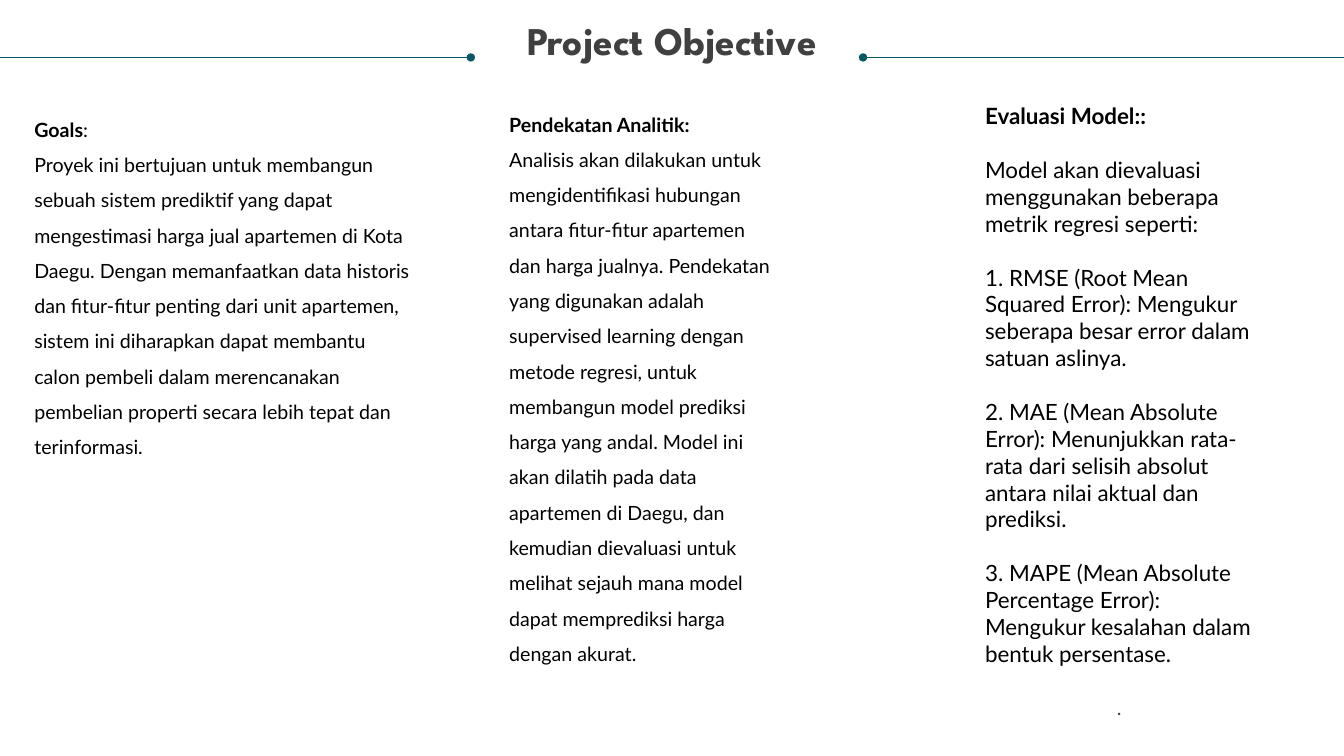
"""Build the Project Objective slide with three columns of text."""
from dataclasses import dataclass
from typing import Any

from lxml.etree import SubElement
from pptx import Presentation
from pptx.dml.color import RGBColor
from pptx.enum.shapes import MSO_CONNECTOR
from pptx.enum.text import MSO_ANCHOR, MSO_AUTO_SIZE, PP_ALIGN
from pptx.oxml.ns import qn
from pptx.util import Inches, Pt

COLORS = {"teal": "085764", "title": "404040", "text": "000000"}
FRAME_FORMAT = {
    "margin_left": 0, "margin_top": 0, "margin_right": 0, "margin_bottom": 0,
    "word_wrap": True, "auto_size": MSO_AUTO_SIZE.NONE,
    "vertical_anchor": MSO_ANCHOR.TOP,
}


@dataclass
class TextRun:
    """A piece of text with one weight."""
    text: str
    bold: bool = False


@dataclass
class TextBlock:
    """A paragraph and its format."""
    runs: list[TextRun]
    size: float = 14
    line_spacing: Any = 1.5
    space_before: float = 0
    alignment: PP_ALIGN = PP_ALIGN.LEFT
    color: str = "text"
    font: str = "Lato"


@dataclass
class TextArea:
    """A placeholder with its place in inches and its paragraphs."""
    placeholder: int
    left: float
    top: float
    width: float
    height: float
    blocks: list[TextBlock]


@dataclass
class Rule:
    """A horizontal line with a dot at one end."""
    start: float
    end: float
    dot_tag: str


METRICS = [
    "Model akan dievaluasi menggunakan beberapa metrik regresi seperti:",
    "1. RMSE (Root Mean Squared Error): Mengukur seberapa besar error dalam satuan aslinya.",
    "2. MAE (Mean Absolute Error): Menunjukkan rata-rata dari selisih absolut antara nilai "
    "aktual dan prediksi.",
    "3. MAPE (Mean Absolute Percentage Error): Mengukur kesalahan dalam bentuk persentase.",
]
GOALS = (
    "Proyek ini bertujuan untuk membangun sebuah sistem prediktif yang dapat mengestimasi "
    "harga jual apartemen di Kota Daegu. Dengan memanfaatkan data historis dan fitur-fitur "
    "penting dari unit apartemen, sistem ini diharapkan dapat membantu calon pembeli dalam "
    "merencanakan pembelian properti secara lebih tepat dan terinformasi."
)
APPROACH = (
    "Analisis akan dilakukan untuk mengidentifikasi hubungan antara fitur-fitur apartemen dan "
    "harga jualnya. Pendekatan yang digunakan adalah supervised learning dengan metode regresi, "
    "untuk membangun model prediksi harga yang andal. Model ini akan dilatih pada data apartemen "
    "di Daegu, dan kemudian dievaluasi untuk melihat sejauh mana model dapat memprediksi harga "
    "dengan akurat."
)
AREAS = [
    TextArea(0, 0.25, 0.21, 12.83, 0.85, [
        TextBlock([TextRun("Project Objective", True)], 28, 0.9, 0, PP_ALIGN.CENTER,
                  "title", "League Spartan"),
    ]),
    TextArea(1, 0.34, 1.05, 3.79, 3.14, [
        TextBlock([TextRun("Goals", True), TextRun(":")]),
        TextBlock([TextRun(GOALS)]),
    ]),
    TextArea(2, 5.05, 1, 2.66, 5.26, [
        TextBlock([TextRun("Pendekatan Analitik:", True)]),
        TextBlock([TextRun(APPROACH)]),
    ]),
    TextArea(3, 9.77, 1.02, 2.66, 6.16, [
        TextBlock([TextRun("Evaluasi Model::", True)], 16, Pt(19)),
        *[TextBlock([TextRun(metric)], 16, 1.0, 19.2) for metric in METRICS],
        TextBlock([TextRun(".")], 14, Pt(19), 19, PP_ALIGN.CENTER, "title"),
    ]),
]
RULES = [Rule(0, 4.67, "a:tailEnd"), Rule(8.56, 13.33, "a:headEnd")]


def set_attributes(target: Any, values: dict[str, Any]) -> None:
    """Set each named value on the target."""
    for name, value in values.items():
        setattr(target, name, value)


def fill_paragraph(paragraph: Any, block: TextBlock) -> None:
    """Write and format one paragraph without a bullet."""
    set_attributes(paragraph, {
        "alignment": block.alignment, "line_spacing": block.line_spacing,
        "space_before": Pt(block.space_before), "space_after": Pt(0),
    })
    properties = paragraph._p.get_or_add_pPr()
    properties.set("marL", "0")
    properties.set("indent", "0")
    SubElement(properties, qn("a:buNone"))
    for text_run in block.runs:
        run = paragraph.add_run()
        run.text = text_run.text
        set_attributes(run.font, {
            "name": block.font, "size": Pt(block.size), "bold": text_run.bold,
        })
        run.font.color.rgb = RGBColor.from_string(COLORS[block.color])


def fill_area(slide: Any, area: TextArea) -> None:
    """Place a placeholder and fill it with its paragraphs."""
    shape = slide.placeholders[area.placeholder]
    set_attributes(shape, {
        name: Inches(getattr(area, name)) for name in ("left", "top", "width", "height")
    })
    frame = shape.text_frame
    set_attributes(frame, FRAME_FORMAT)
    for index, block in enumerate(area.blocks):
        paragraph = frame.add_paragraph() if index else frame.paragraphs[0]
        fill_paragraph(paragraph, block)


def draw_rule(slide: Any, rule: Rule) -> None:
    """Draw a thin line with a round dot beside the title."""
    connector = slide.shapes.add_connector(
        MSO_CONNECTOR.STRAIGHT, Inches(rule.start), Inches(0.57), Inches(rule.end), Inches(0.57))
    connector.line.width = Pt(0.5)
    connector.line.color.rgb = RGBColor.from_string(COLORS["teal"])
    SubElement(connector.line._get_or_add_ln(), qn(rule.dot_tag), type="oval")
    SubElement(connector._element.spPr, qn("a:effectLst"))


def main() -> None:
    """Create the slide and save it."""
    presentation = Presentation()
    set_attributes(presentation, {"slide_width": Inches(13.33), "slide_height": Inches(7.5)})
    slide = presentation.slides.add_slide(presentation.slide_layouts.get_by_name("Comparison"))
    for rule in RULES:
        draw_rule(slide, rule)
    for area in AREAS:
        fill_area(slide, area)
    used = {area.placeholder for area in AREAS}
    for shape in list(slide.placeholders):
        if shape.placeholder_format.idx not in used:
            shape._element.getparent().remove(shape._element)
    presentation.save("out.pptx")


if __name__ == "__main__":
    main()
